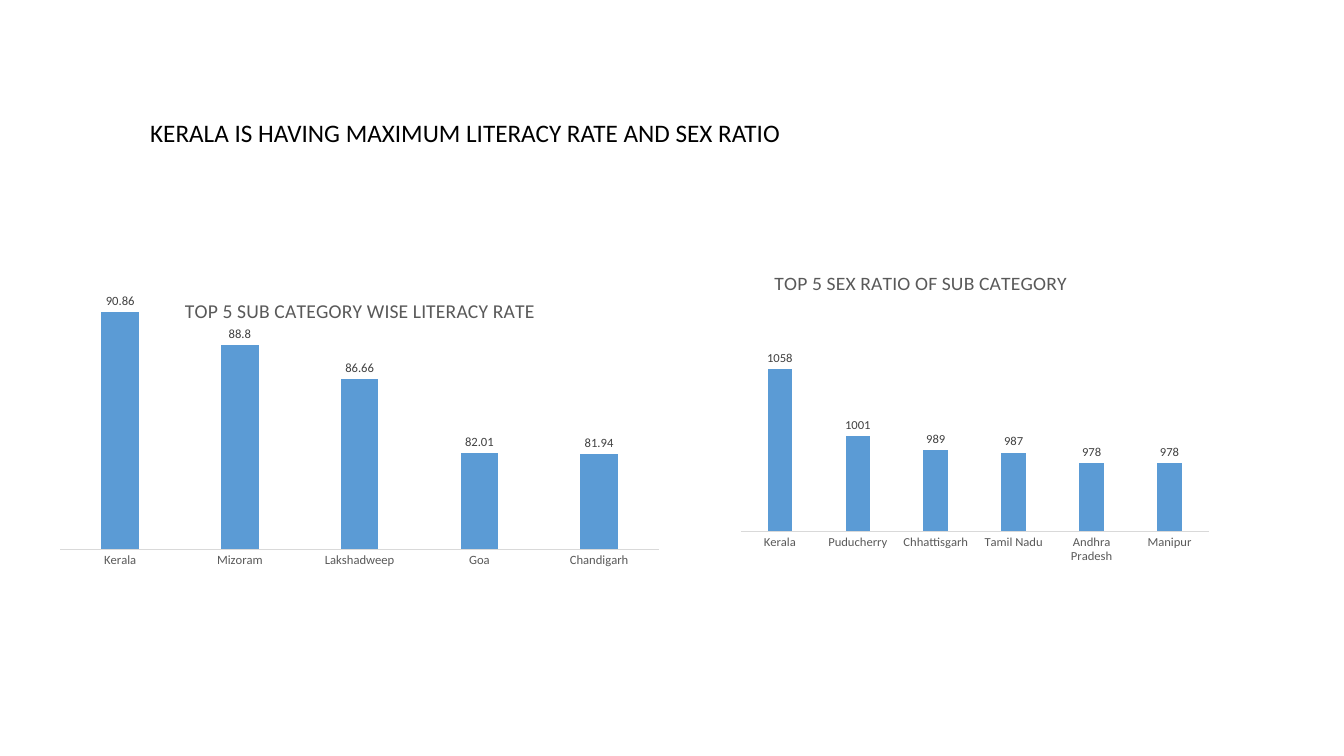
"""Build a slide with two column charts on literacy rate and sex ratio."""
from lxml import etree
from pptx import Presentation
from pptx.chart.data import CategoryChartData
from pptx.dml.color import RGBColor
from pptx.enum.chart import XL_CHART_TYPE, XL_LABEL_POSITION, XL_TICK_MARK
from pptx.enum.text import MSO_ANCHOR, MSO_AUTO_SIZE, PP_ALIGN
from pptx.oxml import parse_xml
from pptx.oxml.ns import nsdecls, qn
from pptx.util import Cm, Pt


def write(tf, text, size, color, align):
    p = tf.paragraphs[0]
    p.alignment = align
    r = p.add_run()
    r.text = text
    f = r.font
    f.name, f.size, f.bold = "Calibri", Pt(size), False
    f.color.rgb = RGBColor.from_string(color)


def place(parent, index, **values):
    for old in parent.findall(qn("c:layout")):
        parent.remove(old)
    layout = etree.Element(qn("c:layout"))
    manual = etree.SubElement(layout, qn("c:manualLayout"))
    for tag, val in values.items():
        etree.SubElement(manual, qn(f"c:{tag}")).set("val", str(val))
    parent.insert(index, layout)


prs = Presentation()
prs.slide_width, prs.slide_height = Cm(33.87), Cm(19.05)
s = prs.slides.add_slide(prs.slide_layouts[5])

charts = [
    dict(title="TOP 5 SUB CATEGORY WISE LITERACY RATE", title_at=(0.22, 0.02),
         box=(1.04, 7.26, 16.05, 7.65), plot=(0.03, 0.02, 0.94, 0.84), scale=(76, 92),
         data={"Kerala": 90.86, "Mizoram": 88.8, "Lakshadweep": 86.66,
               "Goa": 82.01, "Chandigarh": 81.94}),
    dict(title="TOP 5 SEX RATIO OF SUB CATEGORY", title_at=(0.25, 0.03),
         box=(15.65, 6.5, 15.11, 7.7), plot=(0.2, 0.29, 0.78, 0.64), scale=(920, 1080),
         data={"Kerala": 1058, "Puducherry": 1001, "Chhattisgarh": 989,
               "Tamil Nadu": 987, "Andhra Pradesh": 978, "Manipur": 978}),
]

for c in charts:
    cd = CategoryChartData()
    cd.categories = list(c["data"])
    cd.add_series("Series 1", list(c["data"].values()))
    box = [Cm(v) for v in c["box"]]
    chart = s.shapes.add_chart(XL_CHART_TYPE.COLUMN_CLUSTERED, *box, cd).chart
    chart.has_legend = False
    chart.font.name, chart.font.size = "Calibri", Pt(10)
    chart.font.color.rgb = RGBColor.from_string("000000")
    clear = f"<c:spPr {nsdecls('c', 'a')}><a:noFill/><a:ln><a:noFill/></a:ln></c:spPr>"
    chart.element.find(qn("c:chart")).addnext(parse_xml(clear))

    chart.has_title = True
    title = chart.chart_title
    write(title.text_frame, c["title"], 14, "595959", PP_ALIGN.CENTER)
    x, y = c["title_at"]
    place(title.element, 1, xMode="edge", yMode="edge", x=x, y=y)
    x, y, w, h = c["plot"]
    place(chart.element.find(".//" + qn("c:plotArea")), 0, layoutTarget="inner",
          xMode="edge", yMode="edge", x=x, y=y, w=w, h=h)

    va = chart.value_axis
    va.visible = va.has_major_gridlines = False
    va.minimum_scale, va.maximum_scale = c["scale"]
    ca = chart.category_axis
    ca.major_tick_mark = ca.minor_tick_mark = XL_TICK_MARK.NONE
    ca.format.line.width = Pt(0.75)
    ca.format.line.color.rgb = RGBColor.from_string("D9D9D9")

    plot = chart.plots[0]
    plot.gap_width, plot.overlap, plot.vary_by_categories = 219, -27, False
    fill = plot.series[0].format.fill
    fill.solid()
    fill.fore_color.rgb = RGBColor.from_string("5B9BD5")
    plot.has_data_labels = True
    dl = plot.data_labels
    dl.show_value, dl.position = True, XL_LABEL_POSITION.OUTSIDE_END
    for f, color in ((ca.tick_labels.font, "595959"), (dl.font, "404040")):
        f.name, f.size = "Calibri", Pt(9)
        f.color.rgb = RGBColor.from_string(color)

sp = s.shapes.title
sp.left, sp.top, sp.width, sp.height = Cm(3.53), Cm(2.84), Cm(20.17), Cm(1.02)
tf = sp.text_frame
tf.word_wrap, tf.auto_size = True, MSO_AUTO_SIZE.SHAPE_TO_FIT_TEXT
tf.vertical_anchor = MSO_ANCHOR.TOP
write(tf, "KERALA IS HAVING MAXIMUM LITERACY RATE AND SEX RATIO", 18, "000000", PP_ALIGN.LEFT)

prs.save("out.pptx")
